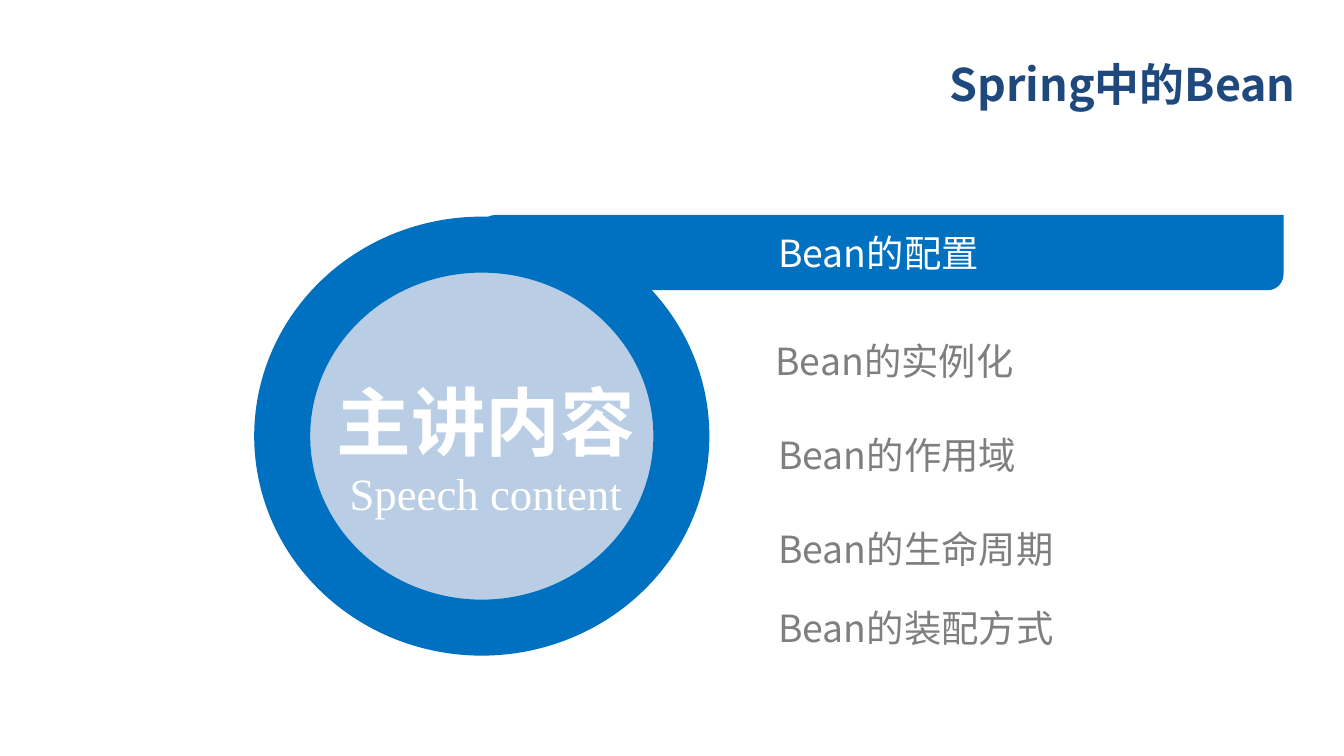
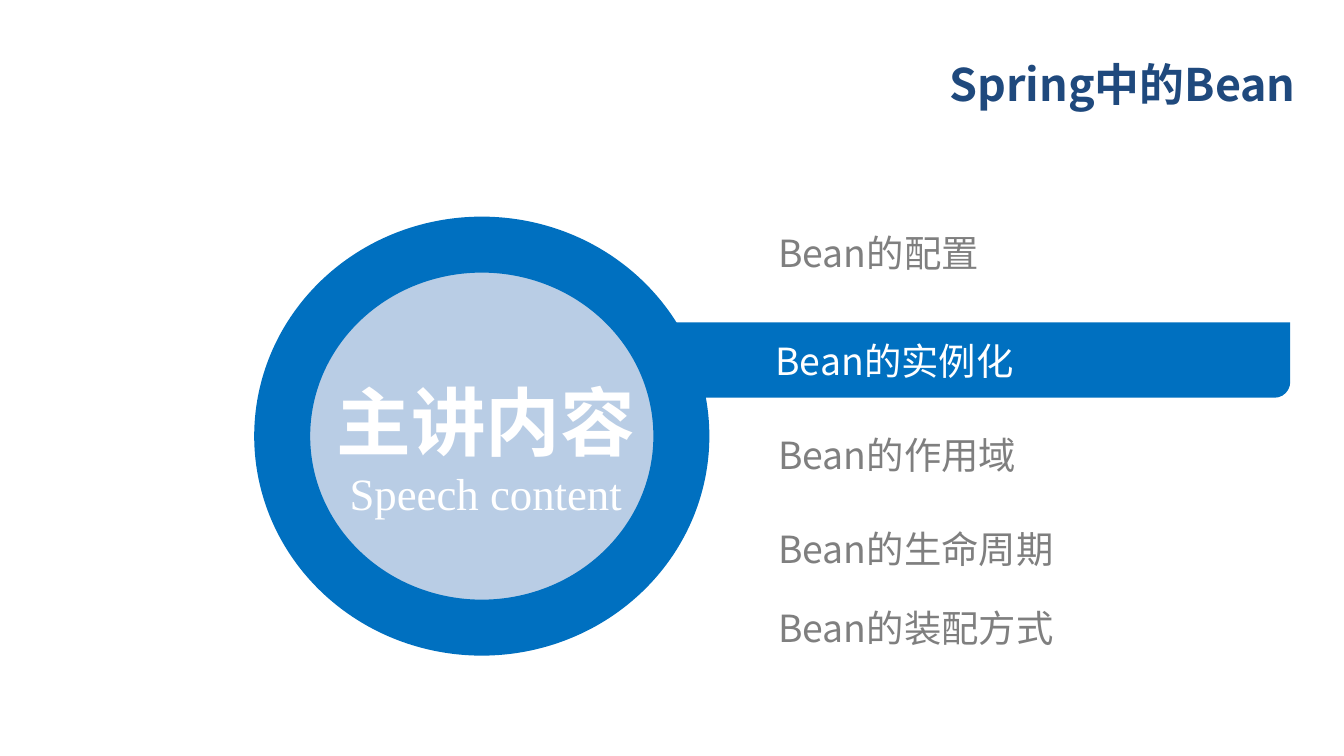
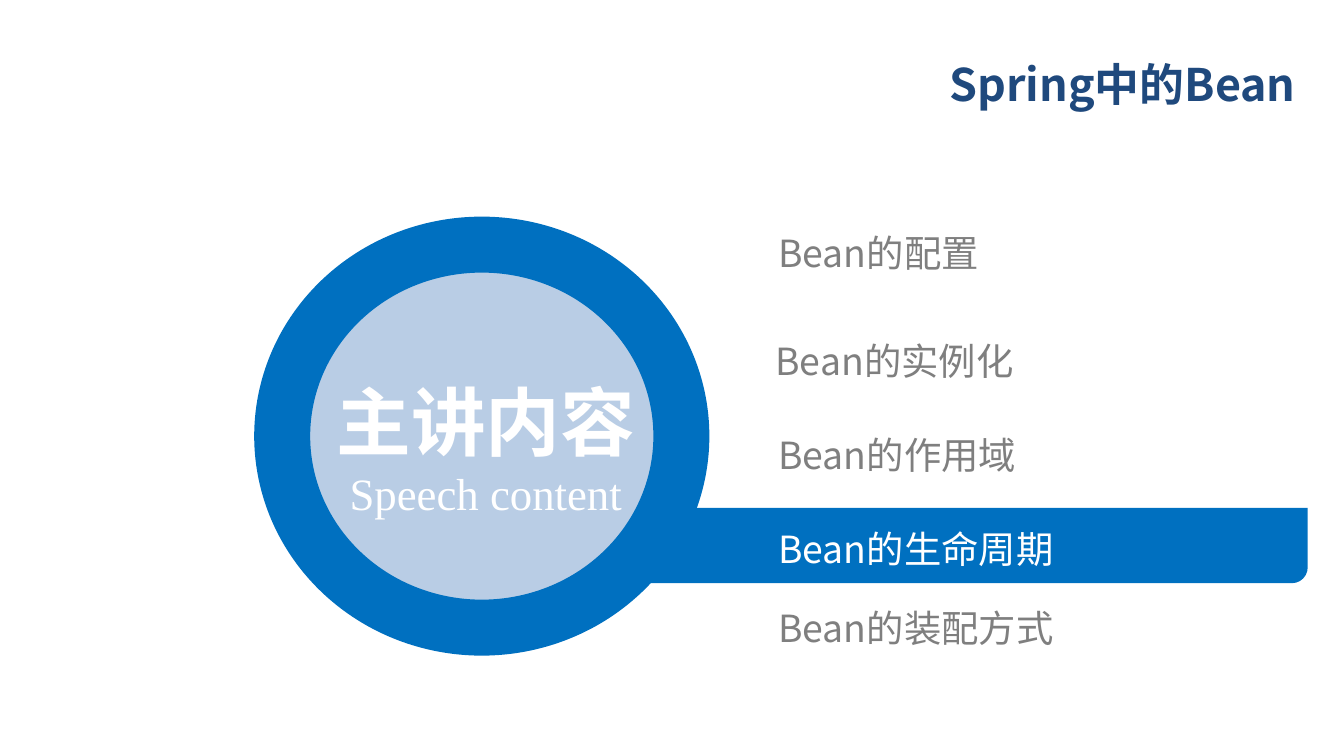
import pptx
import pptx.util
import pptx.dml.color
import pptx.enum.shapes
import pptx.enum.text
import pptx.oxml.ns
import lxml.etree

Inches = pptx.util.Inches
RGBColor = pptx.dml.color.RGBColor
Shape = pptx.enum.shapes.MSO_SHAPE
Align = pptx.enum.text.PP_ALIGN

NAVY = RGBColor(0x1F, 0x49, 0x7D)
BLUE = RGBColor(0x00, 0x70, 0xC0)
PALE = RGBColor(0xB9, 0xCD, 0xE5)
GRAY = RGBColor(0x7F, 0x7F, 0x7F)
WHITE = RGBColor(0xFF, 0xFF, 0xFF)
SANS = "Noto Sans CJK SC"
SERIF = "Times New Roman"


def write(frame, text, size=20, font=SANS, color=GRAY, bold=False,
          align=Align.LEFT, space=None, more=False):
    frame.word_wrap = True
    frame.vertical_anchor = pptx.enum.text.MSO_ANCHOR.MIDDLE
    para = frame.add_paragraph() if more else frame.paragraphs[0]
    para.alignment = align
    if space:
        para.line_spacing = space
    run = para.add_run()
    run.text = text
    run.font.name = font
    run.font.size = pptx.util.Pt(size)
    run.font.bold = bold
    run.font.color.rgb = color
    east = lxml.etree.SubElement(run.font._element, pptx.oxml.ns.qn("a:ea"))
    east.set("typeface", font)


def draw(shapes, kind, box, fill):
    shape = shapes.add_shape(kind, *map(Inches, box))
    shape.shadow.inherit = False
    shape.fill.solid()
    shape.fill.fore_color.rgb = fill
    shape.line.fill.background()
    return shape


topics = [
    ("Bean的配置", 5.79, 1.71, 3.63),
    ("Bean的实例化", 5.77, 2.51, 3.63),
    ("Bean的作用域", 5.79, 3.21, 3.63),
    ("Bean的生命周期", 5.79, 3.91, 3.46),
    ("Bean的装配方式", 5.79, 4.5, 3.46),
]
bands = [(0, 3.57, 1.6), (1, 3.62, 2.4), (3, 3.75, 3.78)]

deck = pptx.Presentation()
deck.slide_width = Inches(10)
deck.slide_height = deck.slide_width * 9 // 16

for active, left, top in bands:
    slide = deck.slides.add_slide(deck.slide_layouts[6])

    title = slide.shapes.add_textbox(*map(Inches, (4.84, 0.31, 4.89, 0.63)))
    title.text_frame.margin_left = title.text_frame.margin_right = Inches(0.09)
    title.text_frame.margin_top = title.text_frame.margin_bottom = Inches(0.04)
    write(title.text_frame, "Spring中的Bean", size=24, color=NAVY, bold=True,
          align=Align.RIGHT)

    band = draw(slide.shapes, Shape.ROUND_2_DIAG_RECTANGLE,
                (left, top, 5.98, 0.56), BLUE)
    band.adjustments[0] = 0.21
    band.adjustments[1] = 0

    group = slide.shapes.add_group_shape()
    disc = draw(group.shapes, Shape.OVAL, (2.1, 1.82, 2.97, 2.85), PALE)
    disc.line.color.rgb = BLUE
    disc.line.width = pptx.util.Pt(30)
    label = group.shapes.add_textbox(*map(Inches, (2.08, 2.44, 3.07, 1.45)))
    label.text_frame.auto_size = pptx.enum.text.MSO_AUTO_SIZE.SHAPE_TO_FIT_TEXT
    write(label.text_frame, "主讲内容", size=40, color=WHITE, bold=True,
          align=Align.CENTER, space=1.5)
    write(label.text_frame, "Speech content", size=24, font=SERIF, color=WHITE,
          align=Align.CENTER, more=True)

    for index, (text, x, y, width) in enumerate(topics):
        item = slide.shapes.add_textbox(*map(Inches, (x, y, width, 0.34)))
        frame = item.text_frame
        frame.margin_left = frame.margin_right = 0
        frame.margin_top = frame.margin_bottom = 0
        frame.auto_size = pptx.enum.text.MSO_AUTO_SIZE.SHAPE_TO_FIT_TEXT
        write(frame, text, color=WHITE if index == active else GRAY)

deck.save("out.pptx")
